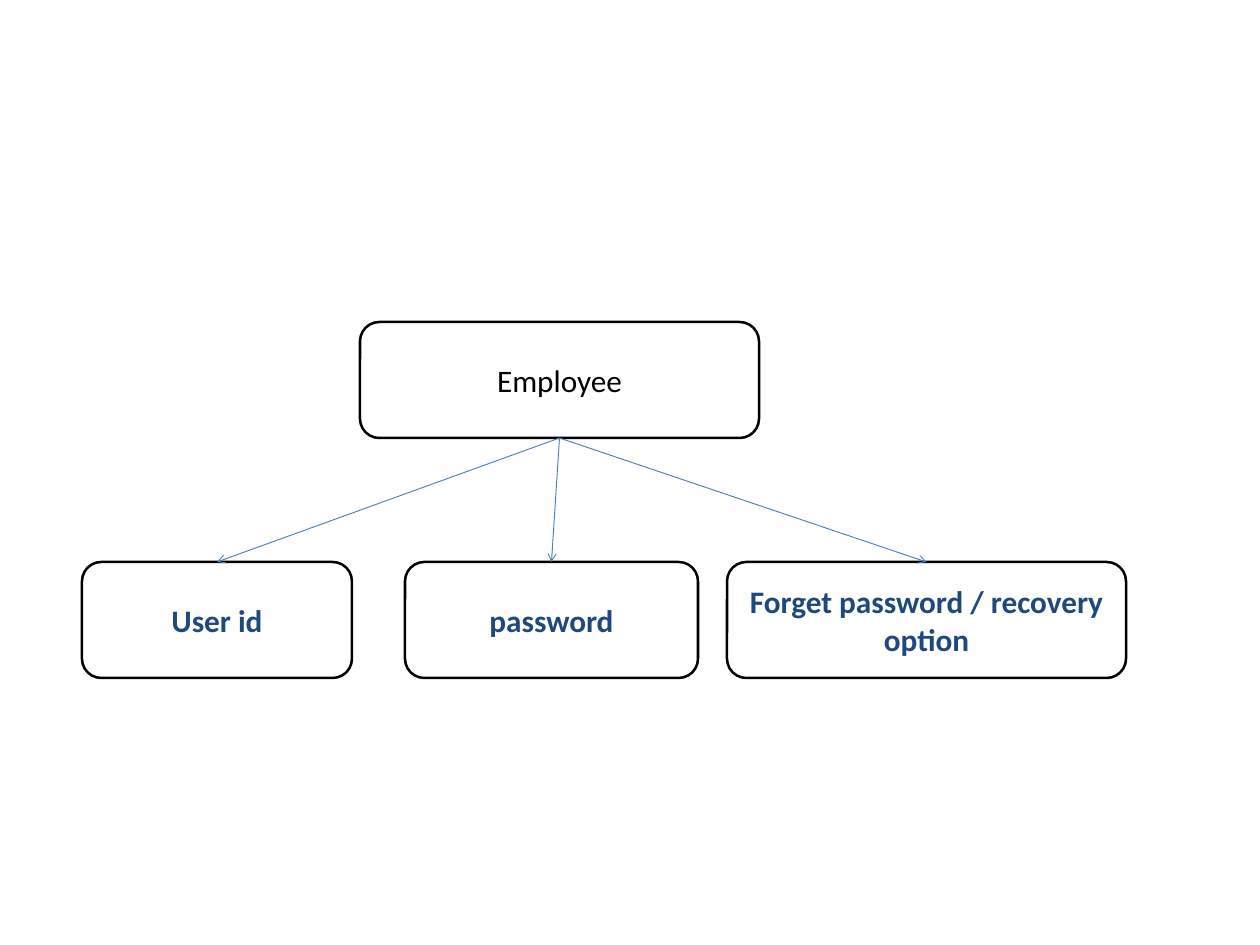
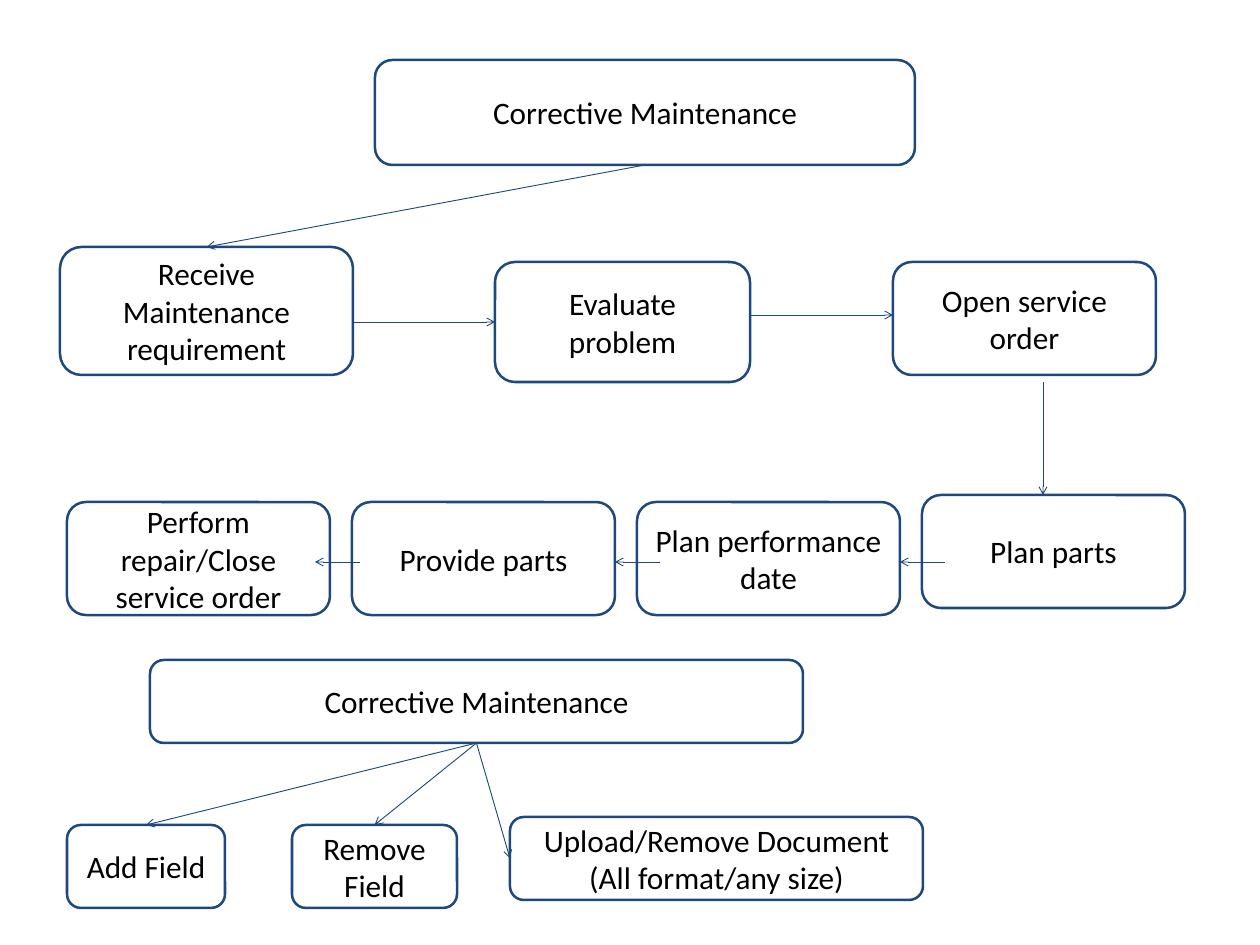
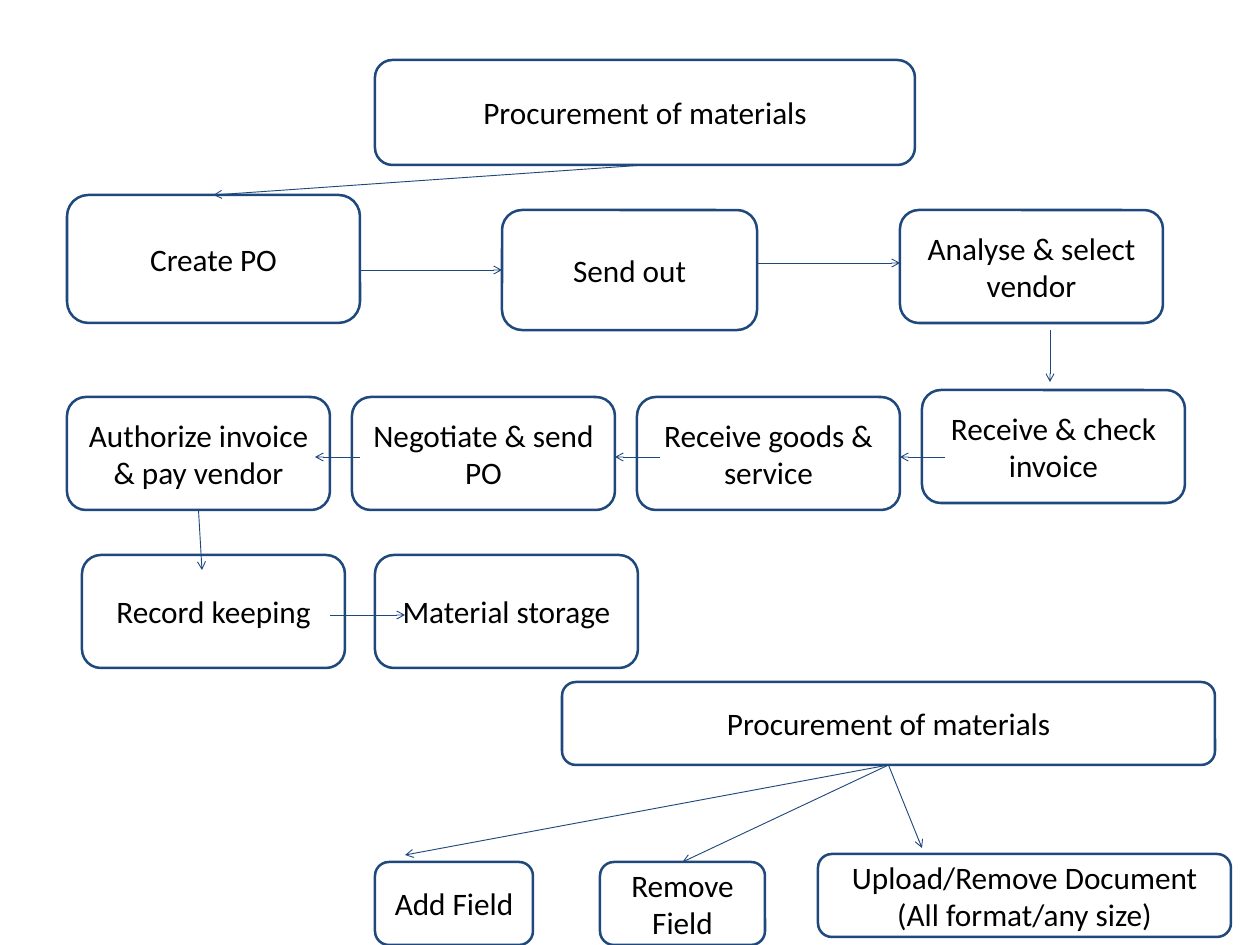
from pptx import Presentation
from pptx.dml.color import RGBColor
from pptx.enum.shapes import MSO_CONNECTOR, MSO_SHAPE
from pptx.enum.text import MSO_ANCHOR, PP_ALIGN
from pptx.oxml.ns import qn
from pptx.util import Pt
from lxml import etree

ROUNDED = MSO_SHAPE.ROUNDED_RECTANGLE
STRAIGHT = MSO_CONNECTOR.STRAIGHT
MIDDLE = MSO_ANCHOR.MIDDLE
CENTER = PP_ALIGN.CENTER

EMU_PER_PX = 10160
FONT = "Calibri"
FONT_SIZE = Pt(25)
BLACK, WHITE, NAVY, BLUE = "000000", "FFFFFF", "1F497D", "4A7EBB"
TOP, LEFT, BOTTOM, RIGHT = range(4)

STEP_WIDTH, STEP_HEIGHT, STEP_PITCH = 263, 113, 285
FIELD_HEIGHT = 83


def px(length):
    return length * EMU_PER_PX


def rgb(color):
    return RGBColor.from_string(color)


def add_step(slide, text, x, y, width, height, outline=NAVY, color=BLACK, bold=False):
    step = slide.shapes.add_shape(ROUNDED, px(x), px(y), px(width), px(height))
    step.shadow.inherit = False
    step.fill.solid()
    step.fill.fore_color.rgb = rgb(WHITE)
    step.line.color.rgb = rgb(outline)
    step.line.width = Pt(2)
    frame = step.text_frame
    frame.word_wrap = True
    frame.vertical_anchor = MIDDLE
    frame.margin_left = frame.margin_right = px(13)
    frame.margin_top = frame.margin_bottom = px(6)
    frame.text = text
    for paragraph in frame.paragraphs:
        paragraph.alignment = CENTER
        font = paragraph.font
        font.name, font.size, font.bold = FONT, FONT_SIZE, bold
        font.color.rgb = rgb(color)
    return step


def add_arrow(slide, start, end, color=NAVY):
    """Draw an arrow; each end is an (x, y) point in px or a (step, side) pair."""
    arrow = slide.shapes.add_connector(STRAIGHT, 0, 0, 0, 0)
    if isinstance(start[0], int):
        arrow.begin_x, arrow.begin_y = map(px, start)
    else:
        arrow.begin_connect(*start)
    if isinstance(end[0], int):
        arrow.end_x, arrow.end_y = map(px, end)
    else:
        arrow.end_connect(*end)
    arrow.line.color.rgb = rgb(color)
    arrow.line.width = Pt(0.75)
    line = arrow.line._get_or_add_ln()
    etree.SubElement(line, qn("a:tailEnd"), type="arrow")
    etree.SubElement(arrow._element.spPr, qn("a:effectLst"))


def add_process(slide, title, first_row, second_row, left, top, second_top, turn_end):
    """Draw a title and two rows of steps, the second running right to left.

    Returns the last step."""
    heading = add_step(slide, title, 375, 60, 540, 105)
    first = add_step(slide, first_row[0], left, top, 293, 128)
    second = add_step(slide, first_row[1], left + 435, top + 15, 255, 120)
    add_step(slide, first_row[2], left + 833, top + 15, STEP_WIDTH, STEP_HEIGHT)
    add_arrow(slide, (heading, BOTTOM), (first, TOP))
    add_arrow(slide, (left + 293, top + 75), (second, LEFT))
    add_arrow(slide, (left + 690, top + 68), (left + 833, top + 68))
    add_arrow(slide, (left + 983, top + 135), (left + 983, turn_end))

    for column, text in zip((3, 2, 1, 0), second_row):
        raised = 7 if column == 3 else 0
        step = add_step(slide, text, 67 + column * STEP_PITCH, second_top - raised,
                        STEP_WIDTH, STEP_HEIGHT)
    arrow_y = second_top + 60
    for start_x, end_x in ((945, 900), (660, 615), (360, 315)):
        add_arrow(slide, (start_x, arrow_y), (end_x, arrow_y))
    return step


def add_field_actions(slide, title, title_x, title_y, left, top):
    """Draw a title over its three actions; returns all four boxes."""
    heading = add_step(slide, title, title_x, title_y, 653, FIELD_HEIGHT)
    add = add_step(slide, "Add Field", left, top, 158, FIELD_HEIGHT)
    remove = add_step(slide, "Remove Field", left + 225, top, 165, FIELD_HEIGHT)
    upload = add_step(slide, "Upload/Remove Document\n(All format/any size)",
                      left + 443, top - 8, 413, FIELD_HEIGHT)
    add_arrow(slide, (heading, BOTTOM), (remove, TOP))
    return heading, add, remove, upload


def build_employee(slide):
    employee = add_step(slide, "Employee", 360, 322, 399, 116, BLACK)
    for text, x, width in (("User id", 82, 270), ("password", 405, 293),
                           ("Forget password / recovery option", 727, 399)):
        login_part = add_step(slide, text, x, 562, width, 116, BLACK, NAVY, True)
        add_arrow(slide, (employee, BOTTOM), (login_part, TOP), BLUE)


def build_maintenance(slide):
    title = "Corrective Maintenance"
    add_process(
        slide, title,
        ("Receive Maintenance requirement", "Evaluate problem", "Open service order"),
        ("Plan parts", "Plan performance date", "Provide parts",
         "Perform repair/Close service order"),
        left=60, top=247, second_top=502, turn_end=495)
    heading, add, _, upload = add_field_actions(slide, title, 150, 660, 67, 825)
    add_arrow(slide, (heading, BOTTOM), (add, TOP))
    add_arrow(slide, (heading, BOTTOM), (upload, LEFT))


def build_procurement(slide):
    title = "Procurement of materials"
    payment = add_process(
        slide, title,
        ("Create PO", "Send out", "Analyse & select vendor"),
        ("Receive & check invoice", "Receive goods & service", "Negotiate & send PO",
         "Authorize invoice & pay vendor"),
        left=67, top=195, second_top=397, turn_end=382)
    add_step(slide, "Record keeping", 82, 555, STEP_WIDTH, STEP_HEIGHT)
    add_step(slide, "Material storage", 375, 555, STEP_WIDTH, STEP_HEIGHT)
    add_arrow(slide, (payment, BOTTOM), (202, 570))
    add_arrow(slide, (330, 615), (405, 615))
    heading, *_ = add_field_actions(slide, title, 562, 682, 375, 862)
    for end in ((405, 855), (922, 848)):
        add_arrow(slide, (heading, BOTTOM), end)


def main():
    deck = Presentation()
    deck.slide_width, deck.slide_height = px(1260), px(945)
    blank = deck.slide_layouts[6]
    for build in (build_employee, build_maintenance, build_procurement):
        build(deck.slides.add_slide(blank))
    deck.save("out.pptx")


if __name__ == "__main__":
    main()
